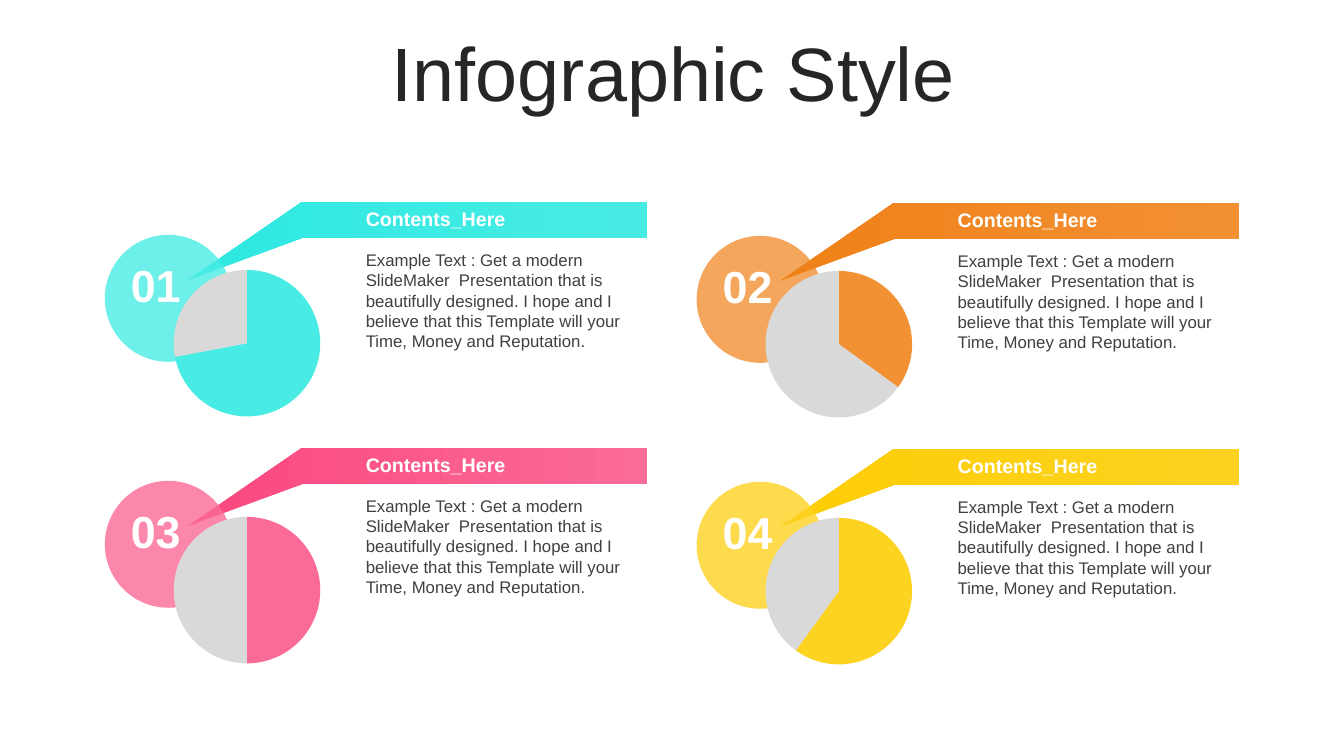
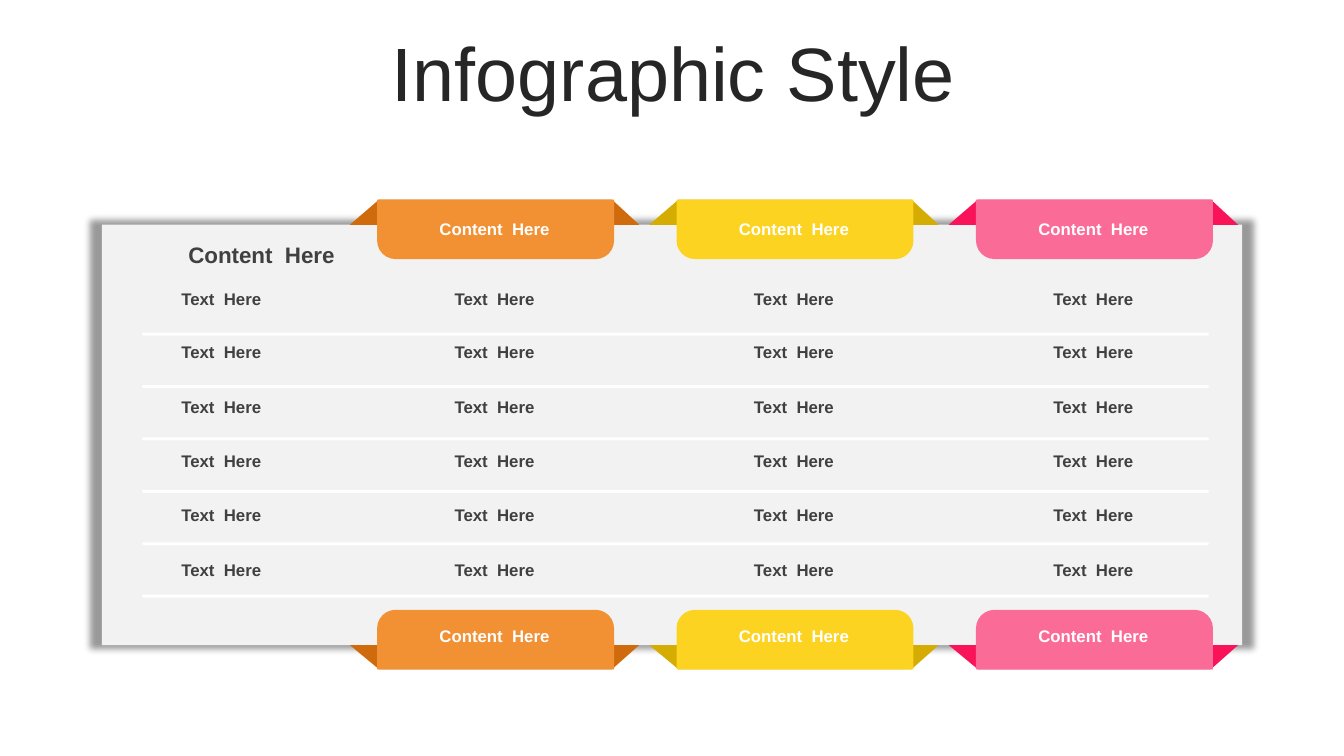
import dataclasses
import itertools
import typing

import lxml.etree
import pptx
import pptx.chart.data
import pptx.dml.color
import pptx.enum.chart
import pptx.enum.shapes
import pptx.enum.text
import pptx.oxml.ns
import pptx.util

Shape = pptx.enum.shapes.MSO_SHAPE
Align = pptx.enum.text.PP_ALIGN
Anchor = pptx.enum.text.MSO_ANCHOR
Fit = pptx.enum.text.MSO_AUTO_SIZE
Inch = pptx.util.Inches
qn = pptx.oxml.ns.qn


@dataclasses.dataclass(frozen=True)
class Theme:
    font: str = "Arial"
    title: str = "262626"
    text: str = "404040"
    white: str = "FFFFFF"
    panel: str = "F2F2F2"
    rest: str = "D9D9D9"
    aqua: str = "49ECE5"
    orange: str = "F29034"
    yellow: str = "FDD321"
    pink: str = "FB6B97"
    title_pt: int = 54
    number_pt: int = 32
    chart_pt: int = 18
    head_pt: int = 16
    label_pt: int = 14
    body_pt: int = 12


THEME = Theme()


class Box(typing.NamedTuple):
    x: float
    y: float
    w: float
    h: float

    def emu(self) -> list[int]:
        return [Inch(side) for side in self]


@dataclasses.dataclass(frozen=True)
class Style:
    size: int
    color: str
    bold: bool = False
    align: typing.Any = None


@dataclasses.dataclass(frozen=True)
class Item:
    color: str
    start: str
    share: int
    front: bool = False  # ribbon lies over the disc


@dataclasses.dataclass(frozen=True)
class Tab:
    color: str
    fold: str


ITEMS = [
    Item(THEME.aqua, "2DE9E1", 72),
    Item(THEME.orange, "F08118", 35, True),
    Item(THEME.pink, "FA487F", 50),
    Item(THEME.yellow, "FDCD05", 60),
]
TABS = [
    Tab(THEME.orange, "CF6B0D"),
    Tab(THEME.yellow, "D5AC02"),
    Tab(THEME.pink, "F9145A"),
]
BODY = ("Example Text : Get a modern SlideMaker  Presentation that is "
        "beautifully designed. I hope and I believe that this Template will "
        "your Time, Money and Reputation.")


# Shared helpers
def rgb(code: str) -> pptx.dml.color.RGBColor:
    return pptx.dml.color.RGBColor.from_string(code)


def paint(shape, color: str) -> None:
    shape.shadow.inherit = False
    shape.fill.solid()
    shape.fill.fore_color.rgb = rgb(color)
    shape.line.fill.background()


def write(frame, text: str, style: Style):
    para = frame.paragraphs[0]
    para.text = text
    para.alignment = style.align
    para.font.name = THEME.font
    para.font.size = pptx.util.Pt(style.size)
    para.font.bold = style.bold
    para.font.color.rgb = rgb(style.color)
    return para


def add_text(slide, box: Box, text: str, style: Style, grow: bool = True):
    frame = slide.shapes.add_textbox(*box.emu()).text_frame
    frame.word_wrap = True
    frame.auto_size = Fit.SHAPE_TO_FIT_TEXT if grow else Fit.NONE
    write(frame, text, style)
    return frame


def add_shape(slide, kind, box: Box, color: str):
    shape = slide.shapes.add_shape(kind, *box.emu())
    paint(shape, color)
    return shape


def add_form(slide, points: list[tuple[float, float]], color: str):
    spots = [(Inch(x), Inch(y)) for x, y in points]
    form = slide.shapes.build_freeform(*spots[0])
    form.add_line_segments(spots[1:], close=True)
    shape = form.convert_to_shape()
    paint(shape, color)
    return shape


def add_slide(deck):
    slide = deck.slides.add_slide(deck.slide_layouts[6])
    frame = add_text(slide, Box(0.35, 0.37, 12.66, 0.79), "Infographic Style",
                     Style(THEME.title_pt, THEME.title, align=Align.CENTER),
                     grow=False)
    frame.vertical_anchor = Anchor.MIDDLE
    frame.paragraphs[0].line_spacing = 0.9
    return slide


# Four pie items
def add_disc(slide, x: float, y: float, item: Item) -> None:
    disc = add_shape(slide, Shape.OVAL, Box(x, y + 0.33, 1.26, 1.26), item.color)
    tone = disc.fill._xPr.find(".//" + qn("a:srgbClr"))
    lxml.etree.SubElement(tone, qn("a:alpha")).set("val", "80000")


def add_ribbon(slide, x: float, y: float, item: Item) -> None:
    bend, end, low = x + 1.96, x + 5.38, y + 0.36
    band = add_form(slide, [(bend, y), (end, y), (end, low), (bend, low),
                            (x + 0.82, y + 0.78)], item.color)
    band.fill.gradient()
    band.fill.gradient_angle = 0
    for stop, color in zip(band.fill.gradient_stops, (item.start, item.color)):
        stop.color.rgb = rgb(color)
    for stop, place in zip(band.fill.gradient_stops, (0, 1)):
        stop.position = place


def add_pie(slide, box: Box, item: Item) -> None:
    data = pptx.chart.data.CategoryChartData()
    data.categories = ["1", "2"]
    data.add_series("Series 1", [item.share, 100 - item.share])
    chart = slide.shapes.add_chart(pptx.enum.chart.XL_CHART_TYPE.PIE,
                                   *box.emu(), data).chart
    chart.has_legend = False
    chart.has_title = False
    chart.font.name = THEME.font
    chart.font.size = pptx.util.Pt(THEME.chart_pt)
    chart.font.color.rgb = rgb(item.color)
    plot = chart.plots[0]
    plot.vary_by_categories = True
    for i, color in enumerate((item.color, THEME.rest)):
        part = plot.series[0].points[i].format
        part.fill.solid()
        part.fill.fore_color.rgb = rgb(color)
        part.line.fill.background()


def add_item(slide, index: int, item: Item) -> None:
    row, col = divmod(index, 2)
    x = 1.04 + 5.87 * col
    y = 2 + 2.44 * row + 0.01 * col
    layers = [add_ribbon, add_disc]
    for draw in reversed(layers) if item.front else layers:
        draw(slide, x, y, item)
    add_pie(slide, Box(x + 0.24, y + 0.54 + 0.01 * row, 2.34, 1.73), item)
    add_text(slide, Box(x + 2.49, y + 0.43, 2.74, 1.11), BODY,
             Style(THEME.body_pt, THEME.text))
    add_text(slide, Box(x + 2.49, y, 2.74, 0.34), "Contents_Here",
             Style(THEME.label_pt, THEME.white, True))
    frame = add_text(slide, Box(x + 0.19, y + 0.56, 0.63, 0.54),
                     f"{index + 1:02}",
                     Style(THEME.number_pt, THEME.white, True, Align.CENTER))
    frame.margin_left = frame.margin_right = 0
    frame.margin_top = frame.margin_bottom = 0


# Table on a panel with folded tabs
PANEL = Box(1.01, 2.23, 11.31, 4.17)
COLS = [2.45] + [2.97] * 3
ROWS = [0.86, 0.52] + [0.54] * 5 + [0.78]


def add_panel(slide) -> None:
    panel = add_shape(slide, Shape.RECTANGLE, PANEL, THEME.panel)
    glow = panel._element.spPr.find(qn("a:effectLst"))
    shade = lxml.etree.SubElement(
        glow, qn("a:outerShdw"), blurRad="63500", sx="102000", sy="102000",
        algn="ctr", rotWithShape="0")
    tone = lxml.etree.SubElement(shade, qn("a:prstClr"), val="black")
    lxml.etree.SubElement(tone, qn("a:alpha"), val="40000")
    for i in range(6):
        rule = add_shape(slide, Shape.ROUNDED_RECTANGLE,
                         Box(1.41, 3.3 + 0.52 * i, 10.58, 0.03), THEME.white)
        rule.adjustments[0] = 0.5


def add_tab(slide, x: float, tab: Tab, top: bool) -> None:
    edge = PANEL.y if top else PANEL.y + PANEL.h
    rim = 1.98 if top else 6.64
    add_form(slide, [(x - 0.27, edge), (x + 0.02, rim), (x + 2.33, rim),
                     (x + 2.6, edge)], tab.fold)
    face = add_shape(slide, Shape.ROUND_2_SAME_RECTANGLE,
                     Box(x, rim if top else rim - 0.59, 2.35, 0.59), tab.color)
    face.adjustments[0] = 0.31
    face.adjustments[1] = 0
    face.rotation = 180 if top else 0


def add_grid(slide) -> None:
    table = slide.shapes.add_table(
        len(ROWS), len(COLS),
        *Box(0.97, 1.85, sum(COLS), sum(ROWS)).emu()).table
    # Plain table style: no grid, no bands
    table._tbl.tblPr.find(qn("a:tableStyleId")).text = (
        "{2D5ABB26-0587-4C30-8999-92F81FD0307C}")
    table.first_row = table.horz_banding = False
    for col, width in zip(table.columns, COLS):
        col.width = Inch(width)
    for row, height in zip(table.rows, ROWS):
        row.height = Inch(height)

    plain = Style(THEME.body_pt, THEME.text, True, Align.CENTER)
    light = dataclasses.replace(plain, color=THEME.white)
    head = Style(THEME.head_pt, THEME.text, True, Align.RIGHT)
    last = len(ROWS) - 1
    for r, c in itertools.product(range(len(ROWS)), range(len(COLS))):
        cell = table.cell(r, c)
        cell.fill.background()
        cell.vertical_anchor = Anchor.MIDDLE
        if (r, c) == (last, 0):
            continue
        if (r, c) == (0, 0):
            cell.vertical_anchor = Anchor.BOTTOM
            write(cell.text_frame, "Content  Here", head)
        elif r in (0, last):
            write(cell.text_frame, "Content  Here", light)
        else:
            write(cell.text_frame, "Text  Here", plain)


def main() -> None:
    deck = pptx.Presentation()
    deck.slide_width, deck.slide_height = Inch(13.33), Inch(7.5)

    slide = add_slide(deck)
    for index, item in enumerate(ITEMS):
        add_item(slide, index, item)

    slide = add_slide(deck)
    add_panel(slide)
    for top, (i, tab) in itertools.product((True, False), enumerate(TABS)):
        add_tab(slide, 3.74 + COLS[1] * i, tab, top)
    add_grid(slide)

    deck.save("out.pptx")


if __name__ == "__main__":
    main()
